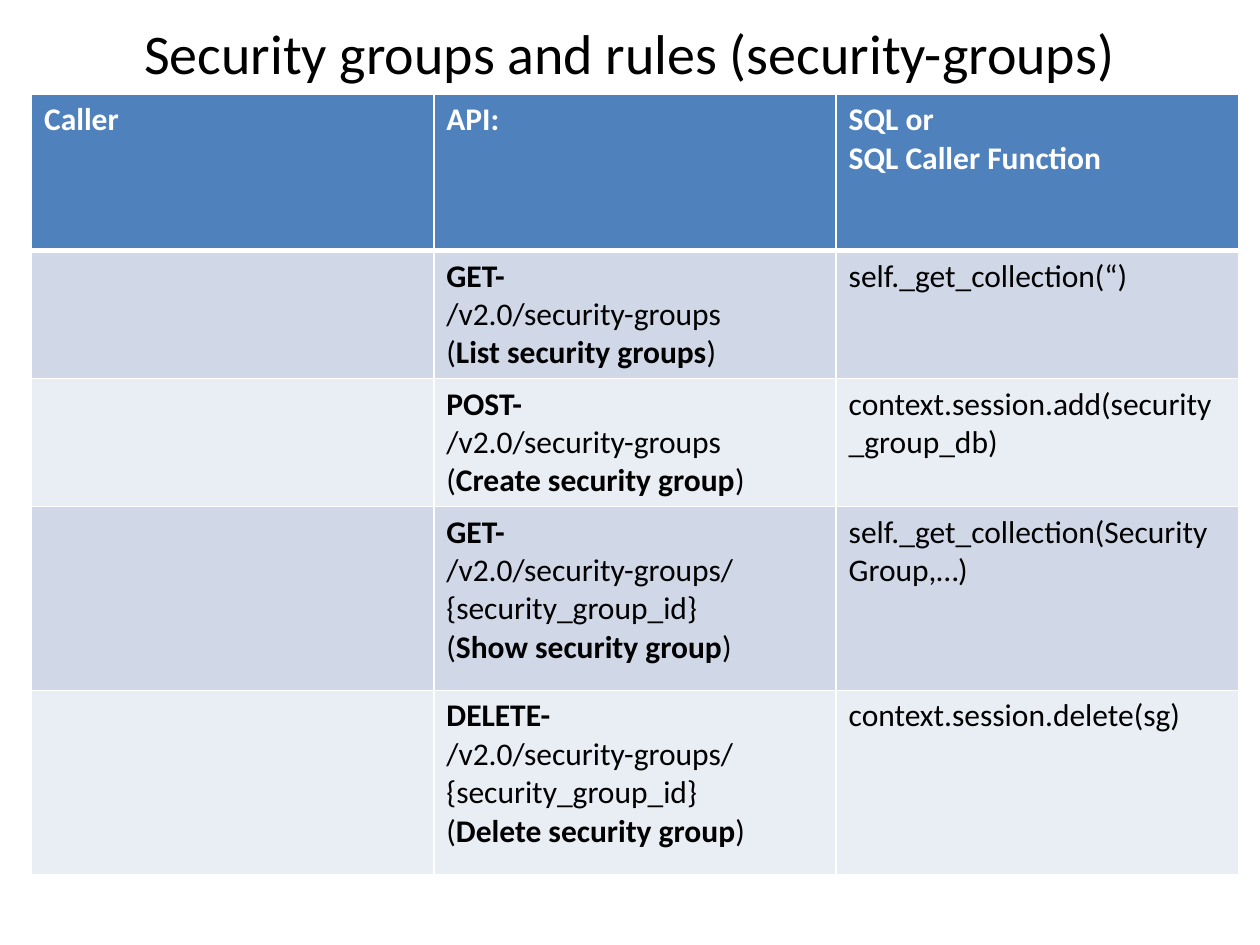
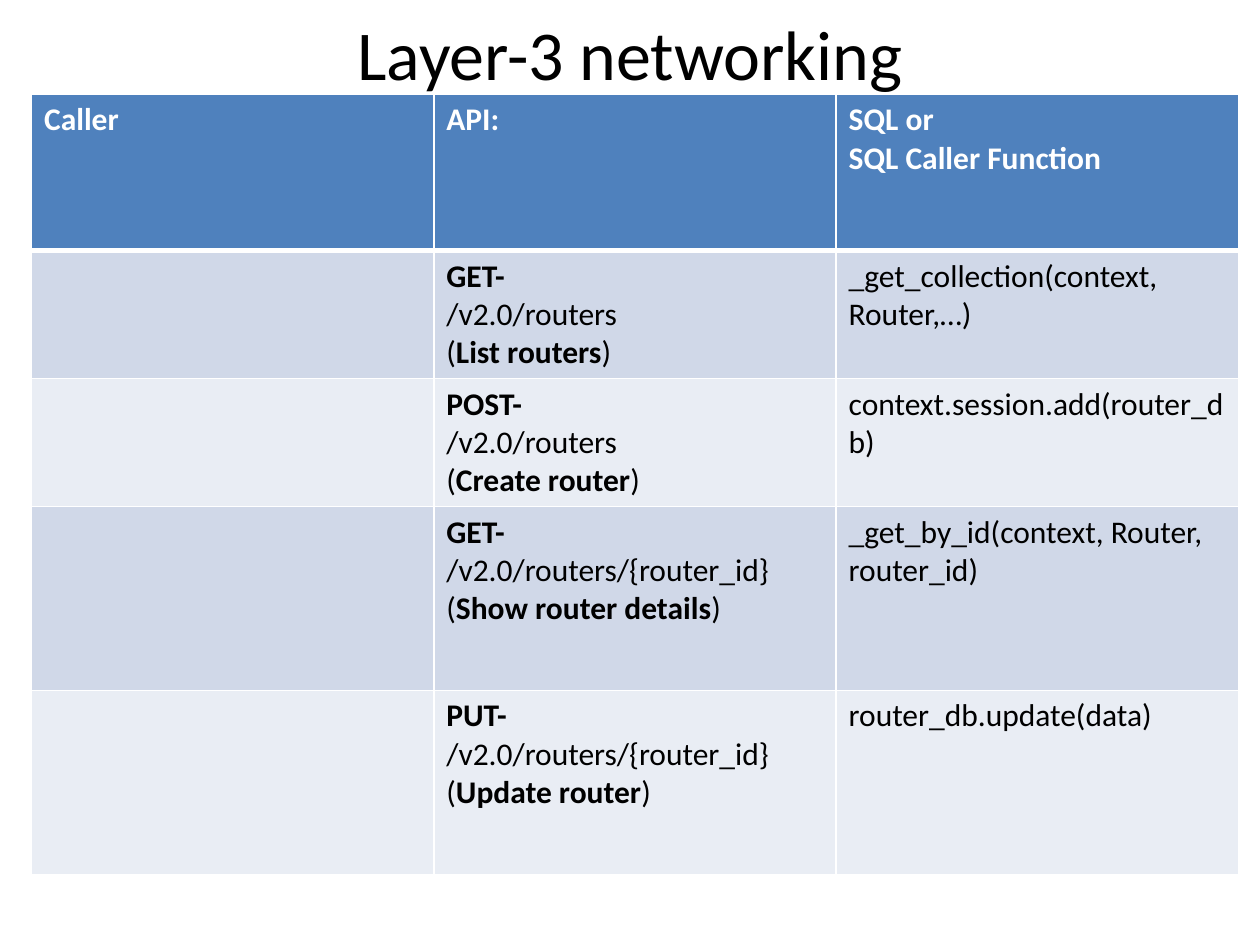
from lxml.etree import SubElement
from pptx import Presentation
from pptx.dml.color import RGBColor
from pptx.enum.text import MSO_ANCHOR as Anchor, MSO_AUTO_SIZE as AutoSize, PP_ALIGN as Align
from pptx.oxml.ns import qn
from pptx.util import Pt

# Shared style
FONT = "Calibri"
BLACK = RGBColor(0x00, 0x00, 0x00)
WHITE = RGBColor(0xFF, 0xFF, 0xFF)
HEADER_BLUE = RGBColor(0x4F, 0x81, 0xBD)
BANDS = (RGBColor(0xD0, 0xD8, 0xE8), RGBColor(0xE9, 0xED, 0xF4))

COLUMN_WIDTH = 229.9
ROW_HEIGHTS = (89.3, 72.7, 61.2, 105.1, 105.1)
TABLE_HEIGHT = 443.5
HEADER = ("Caller", "API:", "SQL or\nSQL Caller Function")

# Each call: method, address, action, database function
SECURITY_GROUP_CALLS = [
    ("GET", "/v2.0/security-groups", "List security groups",
     "self._get_collection(“)"),
    ("POST", "/v2.0/security-groups", "Create security group",
     "context.session.add(security_group_db)"),
    ("GET", "/v2.0/security-groups/{security_group_id}", "Show security group",
     "self._get_collection(SecurityGroup,…)"),
    ("DELETE", "/v2.0/security-groups/{security_group_id}", "Delete security group",
     "context.session.delete(sg)"),
]
ROUTER_CALLS = [
    ("GET", "/v2.0/routers", "List routers",
     "_get_collection(context, Router,…)"),
    ("POST", "/v2.0/routers", "Create router",
     "context.session.add(router_db)"),
    ("GET", "/v2.0/routers/{router_id}", "Show router details",
     "_get_by_id(context, Router, router_id)"),
    ("PUT", "/v2.0/routers/{router_id}", "Update router",
     "router_db.update(data)"),
]


def write_text(frame, text, size=18, color=BLACK, bold=False, align=Align.LEFT):
    """Write text line by line; parts between ** marks are bold."""
    for number, line in enumerate(text.split("\n")):
        paragraph = frame.paragraphs[0] if number == 0 else frame.add_paragraph()
        paragraph.alignment = align
        for position, part in enumerate(line.split("**")):
            if part:
                run = paragraph.add_run()
                run.text = part
                run.font.name = FONT
                run.font.size = Pt(size)
                run.font.bold = bold or position % 2 == 1
                run.font.color.rgb = color


class Deck:
    def __init__(self):
        self.presentation = Presentation()
        self.presentation.slide_width = Pt(720)
        self.presentation.slide_height = Pt(540)
        self.slide = None

    def add_slide(self, title, size):
        layout = self.presentation.slide_layouts[5]
        self.slide = self.presentation.slides.add_slide(layout)
        shape = self.slide.shapes.title
        shape.left, shape.top, shape.width, shape.height = Pt(36), Pt(0), Pt(648), Pt(60)
        frame = shape.text_frame
        frame.auto_size = AutoSize.NONE
        frame.word_wrap = True
        frame.vertical_anchor = Anchor.MIDDLE
        write_text(frame, title, size=size, align=Align.CENTER)

    def add_borders(self, cell, top=1, bottom=1):
        properties = cell._tc.get_or_add_tcPr()
        for side, width in (("L", 1), ("R", 1), ("T", top), ("B", bottom)):
            line = SubElement(properties, qn(f"a:ln{side}"), w=str(Pt(width)))
            fill = SubElement(line, qn("a:solidFill"))
            SubElement(fill, qn("a:srgbClr"), val=str(WHITE))

    def add_cell(self, cell, text, fill, top=1, bottom=1, **text_format):
        self.add_borders(cell, top, bottom)
        cell.fill.solid()
        cell.fill.fore_color.rgb = fill
        write_text(cell.text_frame, text, **text_format)

    def add_call_table(self, calls):
        shape = self.slide.shapes.add_table(
            len(calls) + 1, len(HEADER), Pt(18), Pt(54),
            Pt(COLUMN_WIDTH * len(HEADER)), Pt(TABLE_HEIGHT))
        table = shape.table
        for column in table.columns:
            column.width = Pt(COLUMN_WIDTH)
        for row, height in zip(table.rows, ROW_HEIGHTS):
            row.height = Pt(height)
        shape.height = Pt(TABLE_HEIGHT)

        # Header row
        for column, text in enumerate(HEADER):
            self.add_cell(table.cell(0, column), text, HEADER_BLUE,
                          bottom=3, color=WHITE, bold=True)

        # Banded rows, one per call
        for row, (method, address, action, function) in enumerate(calls, 1):
            api = f"**{method}-**\n{address}\n(**{action}**)"
            for column, text in enumerate(("", api, function)):
                self.add_cell(table.cell(row, column), text, BANDS[(row - 1) % 2],
                              top=3 if row == 1 else 1)


def main():
    deck = Deck()

    # Slide 1: security groups
    deck.add_slide("Security groups and rules (security-groups)", size=32)
    deck.add_call_table(SECURITY_GROUP_CALLS)

    # Slide 2: routers
    deck.add_slide("Layer-3 networking", size=40)
    deck.add_call_table(ROUTER_CALLS)

    deck.presentation.save("out.pptx")


if __name__ == "__main__":
    main()
